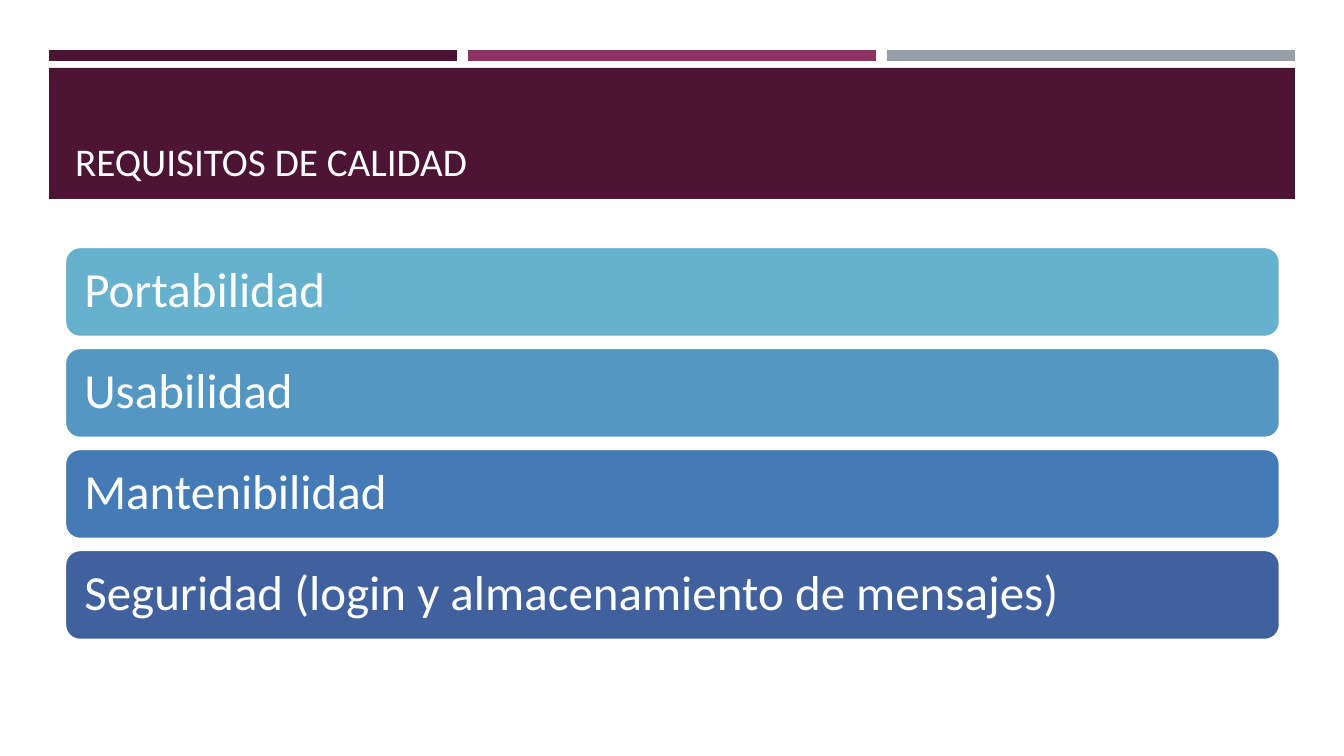
from pptx import Presentation
from pptx.dml.color import RGBColor
from pptx.enum.shapes import MSO_SHAPE as Shape
from pptx.enum.text import MSO_ANCHOR as Anchor, PP_ALIGN as Align
from pptx.util import Pt

SCALE = 914400 / 100.8
COLORS = {
    "plum": "4D1434", "magenta": "903163", "gray": "969FA7",
    "white": "FFFFFF", "title": "FFFEFF",
    "aqua": "66B1CE", "sky": "5497C3", "blue": "447AB6", "navy": "40619D",
}


def add_block(kind, left, top, width, height, color):
    place = [round(value * SCALE) for value in (left, top, width, height)]
    block = page.shapes.add_shape(kind, *place)
    block.shadow.inherit = False
    block.fill.solid()
    block.fill.fore_color.rgb = RGBColor.from_string(COLORS[color])
    block.line.fill.background()
    return block


def add_text(paragraph, text, size, color):
    paragraph.alignment = Align.LEFT
    span = paragraph.add_run()
    span.text = text
    span.font.name = "Calibri"
    span.font.size = Pt(size)
    span.font.color.rgb = RGBColor.from_string(COLORS[color])


deck = Presentation()
deck.slide_width = round(1344 * SCALE)
deck.slide_height = round(756 * SCALE)
page = deck.slides.add_slide(deck.slide_layouts[5])

# Accent strips and title band
for index, color in enumerate(("plum", "magenta", "gray")):
    add_block(Shape.RECTANGLE, 49 + 419 * index, 50, 408, 11, color)
band = add_block(Shape.RECTANGLE, 49, 68, 1246, 131, "plum")

# Title, brought in front of the band
title = page.shapes.title
band._element.addnext(title._element)
title.left, title.top = round(65 * SCALE), round(78 * SCALE)
title.width, title.height = round(1216 * SCALE), round(112 * SCALE)
frame = title.text_frame
frame.word_wrap = True
frame.vertical_anchor = Anchor.BOTTOM
paragraph = frame.paragraphs[0]
paragraph.line_spacing = 0.9
add_text(paragraph, "REQUISITOS DE CALIDAD", 28, "title")

# Quality requirements
requirements = (
    ("Portabilidad", "aqua"),
    ("Usabilidad", "sky"),
    ("Mantenibilidad", "blue"),
    ("Seguridad (login y almacenamiento de mensajes)", "navy"),
)
for index, (text, color) in enumerate(requirements):
    box = add_block(Shape.ROUNDED_RECTANGLE, 65, 247 + 101 * index, 1215, 90, color)
    box.line.color.rgb = RGBColor.from_string(COLORS["white"])
    box.line.width = Pt(1.75)
    frame = box.text_frame
    frame.word_wrap = True
    frame.vertical_anchor = Anchor.MIDDLE
    frame.margin_left = frame.margin_right = round(15 * SCALE)
    frame.margin_top = frame.margin_bottom = round(15 * SCALE)
    paragraph = frame.paragraphs[0]
    paragraph.line_spacing = 0.9
    add_text(paragraph, text, 35, "white")

deck.save("out.pptx")
